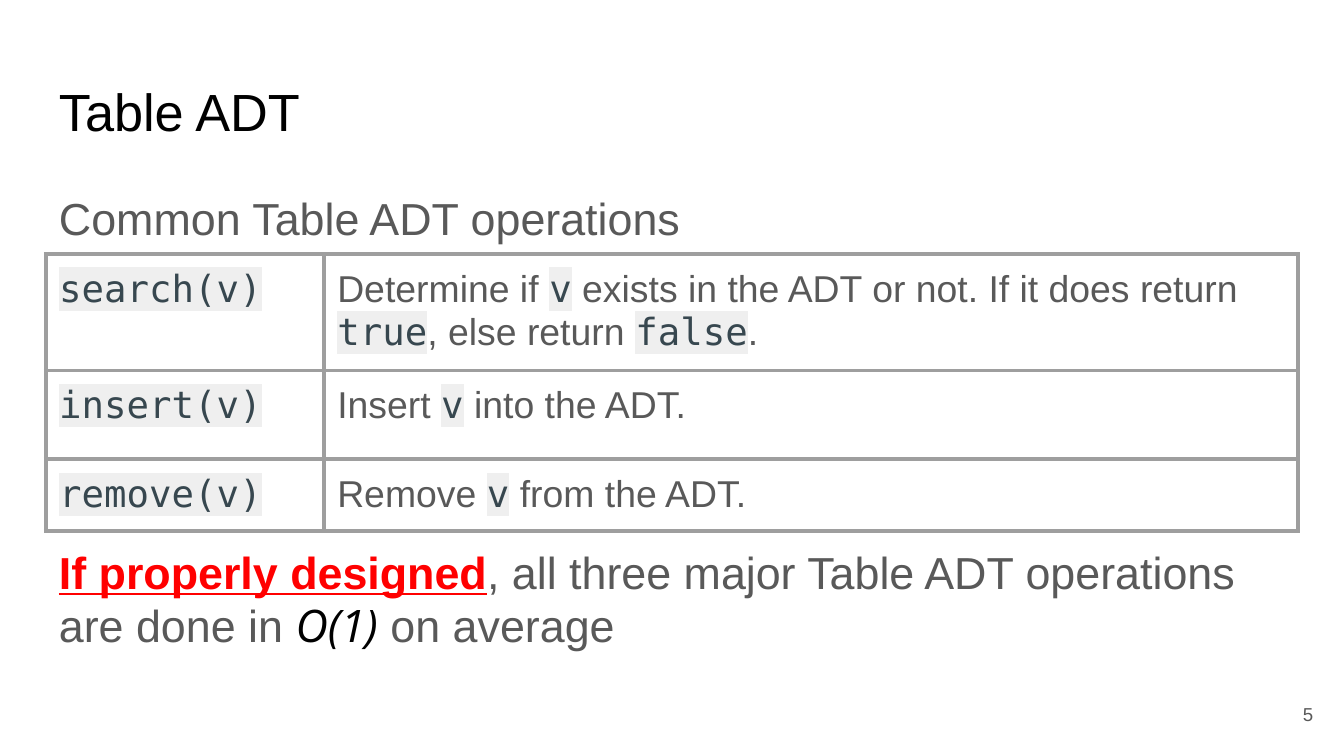
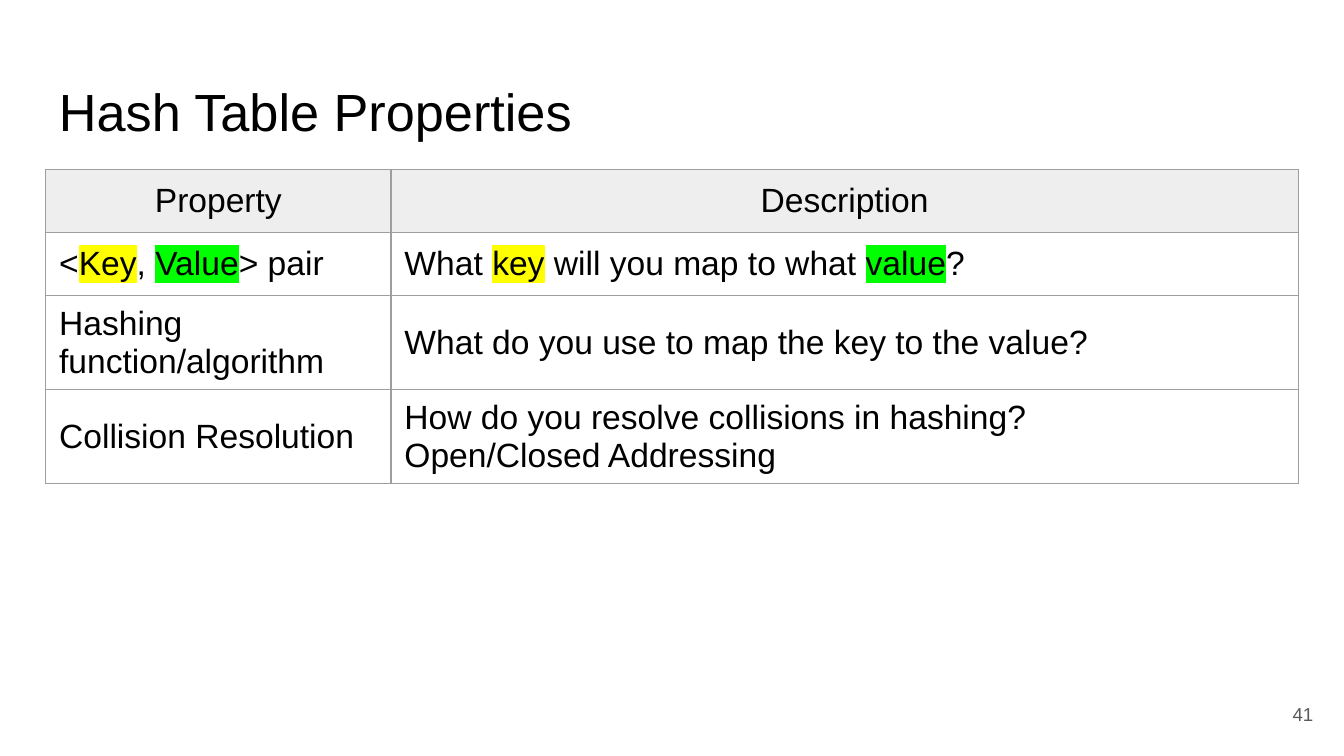
from dataclasses import dataclass
from typing import Optional, Union

from lxml.etree import SubElement
from pptx import Presentation
from pptx.dml.color import RGBColor
from pptx.enum.text import MSO_ANCHOR as Anchor, PP_ALIGN as Align
from pptx.oxml.ns import qn
from pptx.util import Pt

BLACK, GRAY, SLATE, RED = "000000", "595959", "37474F", "FF0000"
BORDER, HEADER, CODE_BACK = "9E9E9E", "EEEEEE", "EFEFEF"
YELLOW, GREEN = "FFFF00", "00FF00"
LEFT, WIDTH, INSET = 24.5, 671, 7.2


@dataclass(frozen=True)
class Span:
    """A stretch of text that departs from its paragraph's font."""
    text: str
    color: Optional[str] = None
    font: Optional[str] = None
    back: Optional[str] = None
    bold: Optional[bool] = None
    italic: Optional[bool] = None
    underline: Optional[bool] = None


@dataclass(frozen=True)
class Style:
    """The font and spacing of a paragraph."""
    size: float
    color: str = GRAY
    align: Align = Align.LEFT
    spacing: Optional[float] = None
    after: float = 0


@dataclass(frozen=True)
class Block:
    """The place of a text box and how its text is set."""
    top: float
    height: float
    style: Style
    left: float = LEFT
    width: float = WIDTH
    anchor: Anchor = Anchor.TOP


@dataclass(frozen=True)
class Grid:
    """The measures of a table."""
    top: float
    columns: tuple[float, ...]
    rows: tuple[float, ...]
    style: Style
    border: float
    inset: float
    anchor: Anchor = Anchor.TOP
    header: bool = False


Line = list[Union[str, Span]]
Text = list[Line]

TITLE = Block(35.3, 45.4, Style(28, BLACK))
PAGE = Block(367.2, 31, Style(10, align=Align.RIGHT), 667.4, 43.2, Anchor.MIDDLE)
INTRO = Block(90.7, 45.4, Style(24, spacing=1.15, after=16))
CONCLUSION = Block(284.4, 70.6, Style(24))
OPERATIONS = Grid(136, (149, 522), (29.5, 47.5, 29.5), Style(20), 2.25, INSET)
PROPERTIES = Grid(90.7, (185, 486), (33.8, 33.8, 33.8, 46), Style(18, BLACK),
                  0.75, INSET / 2, Anchor.MIDDLE, True)


def rgb(color: str) -> RGBColor:
    """Turn a hex string into a colour."""
    return RGBColor.from_string(color)


def code(text: str) -> Span:
    """Mark text as inline code."""
    return Span(text, SLATE, "DejaVu Sans Mono", CODE_BACK)


def marked(text: str, back: str) -> Span:
    """Mark text with a highlighter."""
    return Span(text, back=back)


def add_span(paragraph, span: Span) -> None:
    """Add a run with the span's own formatting."""
    run = paragraph.add_run()
    run.text = span.text
    font = run.font
    font.bold, font.italic, font.underline = span.bold, span.italic, span.underline
    if span.color:
        font.color.rgb = rgb(span.color)
    if span.back:
        highlight = SubElement(run._r.get_or_add_rPr(), qn("a:highlight"))
        SubElement(highlight, qn("a:srgbClr"), val=span.back)
    if span.font:
        font.name = span.font


def write(frame, text: Text, style: Style, align: Align) -> None:
    """Fill a text frame with paragraphs of one style."""
    for index, line in enumerate(text):
        paragraph = frame.add_paragraph() if index else frame.paragraphs[0]
        paragraph.alignment = align
        paragraph.space_after = Pt(style.after)
        if style.spacing:
            paragraph.line_spacing = style.spacing
        font = paragraph.font
        font.name, font.size = "Arial", Pt(style.size)
        font.color.rgb = rgb(style.color)
        for part in line:
            add_span(paragraph, Span(part) if isinstance(part, str) else part)


def set_margins(holder, vertical: float) -> None:
    """Set the inner margins of a cell or a text frame."""
    holder.margin_left = holder.margin_right = Pt(INSET)
    holder.margin_top = holder.margin_bottom = Pt(vertical)


def add_block(slide, block: Block, line: Line) -> None:
    """Add a wrapped text box."""
    frame = slide.shapes.add_textbox(
        Pt(block.left), Pt(block.top), Pt(block.width), Pt(block.height)).text_frame
    frame.word_wrap = True
    frame.vertical_anchor = block.anchor
    set_margins(frame, INSET)
    write(frame, [line], block.style, block.style.align)


def add_borders(cell, width: float) -> None:
    """Draw the four borders of a cell."""
    properties = cell._tc.get_or_add_tcPr()
    for side in ("lnL", "lnR", "lnT", "lnB"):
        border = SubElement(properties, qn(f"a:{side}"), w=str(Pt(width)))
        fill = SubElement(border, qn("a:solidFill"))
        SubElement(fill, qn("a:srgbClr"), val=BORDER)


def add_grid(slide, grid: Grid, content: list[list[Text]]) -> None:
    """Add a bordered table."""
    table = slide.shapes.add_table(
        len(grid.rows), len(grid.columns), Pt(LEFT), Pt(grid.top),
        Pt(WIDTH), Pt(sum(grid.rows))).table
    table.first_row = table.horz_banding = False
    for column, width in zip(table.columns, grid.columns):
        column.width = Pt(width)
    for index, (row, height, texts) in enumerate(zip(table.rows, grid.rows, content)):
        row.height = Pt(height)
        heading = grid.header and index == 0
        for cell, text in zip(row.cells, texts):
            set_margins(cell, grid.inset)
            cell.vertical_anchor = grid.anchor
            add_borders(cell, grid.border)
            if heading:
                cell.fill.solid()
                cell.fill.fore_color.rgb = rgb(HEADER)
            else:
                cell.fill.background()
            write(cell.text_frame, text, grid.style,
                  Align.CENTER if heading else grid.style.align)


def add_page(deck, title: str, number: int):
    """Add a slide with its title and number."""
    slide = deck.slides.add_slide(deck.slide_layouts[6])
    add_block(slide, TITLE, [title])
    add_block(slide, PAGE, [str(number)])
    return slide


def add_table_adt(deck) -> None:
    """Build the slide on the operations of a table."""
    slide = add_page(deck, "Table ADT", 5)
    v = code("v")
    add_grid(slide, OPERATIONS, [
        [[[code("search(v)")]],
         [["Determine if ", v, " exists in the ADT or not. If it does return ",
           code("true"), ", else return ", code("false"), "."]]],
        [[[code("insert(v)")]], [["Insert ", v, " into the ADT."]]],
        [[[code("remove(v)")]], [["Remove ", v, " from the ADT."]]],
    ])
    add_block(slide, INTRO, ["Common Table ADT operations"])
    add_block(slide, CONCLUSION, [
        Span("If properly designed", RED, bold=True, underline=True),
        ", all three major Table ADT operations are done in ",
        Span("O(1)", BLACK, "Open Sans", italic=True),
        " on average",
    ])


def add_hash_properties(deck) -> None:
    """Build the slide on the properties of a hash table."""
    slide = add_page(deck, "Hash Table Properties", 41)
    add_grid(slide, PROPERTIES, [
        [[["Property"]], [["Description"]]],
        [[["<", marked("Key", YELLOW), ", ", marked("Value", GREEN), "> pair"]],
         [["What ", marked("key", YELLOW), " will you map to what ",
           marked("value", GREEN), "?"]]],
        [[["Hashing function/algorithm"]],
         [["What do you use to map the key to the value?"]]],
        [[["Collision Resolution"]],
         [["How do you resolve collisions in hashing?"], ["Open/Closed Addressing"]]],
    ])


def main() -> None:
    """Build and save the slides."""
    deck = Presentation()
    deck.slide_width, deck.slide_height = Pt(720), Pt(405)
    add_table_adt(deck)
    add_hash_properties(deck)
    deck.save("out.pptx")


if __name__ == "__main__":
    main()
